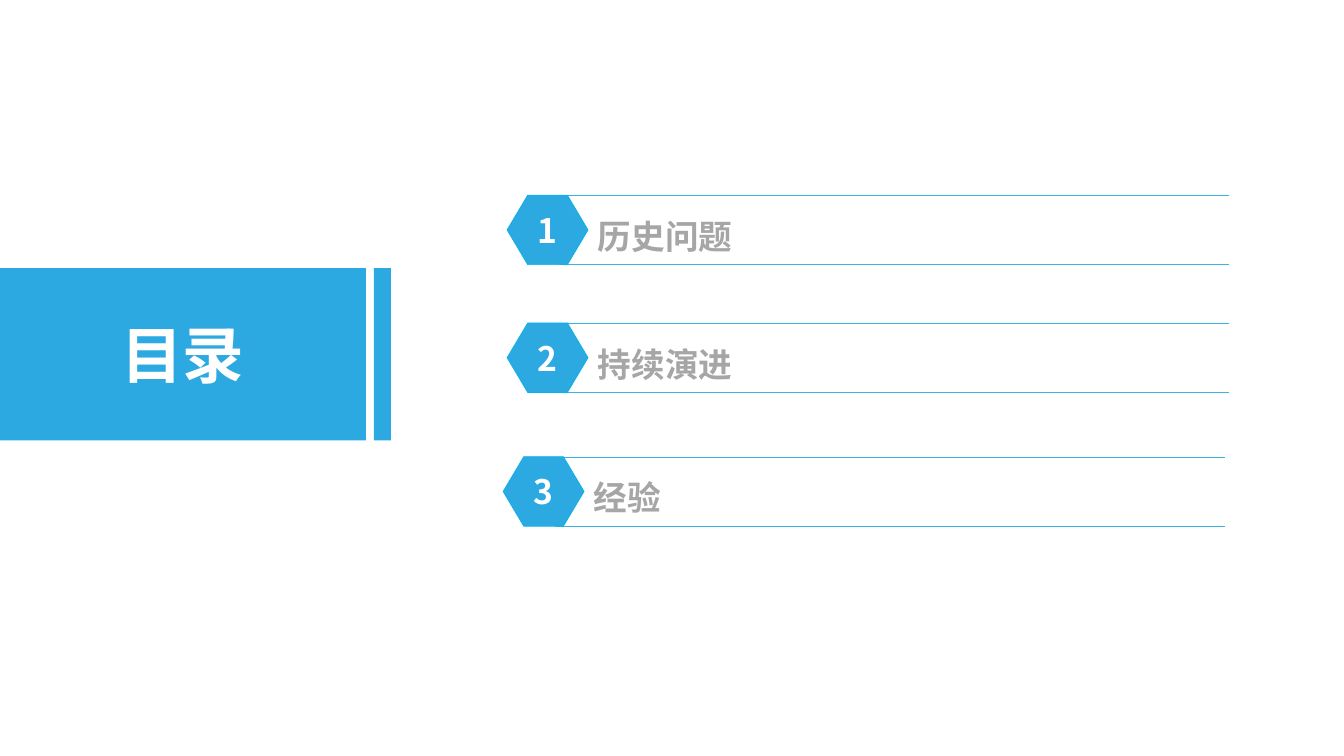
from lxml import etree
from pptx import Presentation
from pptx.dml.color import RGBColor
from pptx.enum.shapes import MSO_SHAPE as SHAPE
from pptx.enum.text import MSO_ANCHOR as ANCHOR, PP_ALIGN as ALIGN
from pptx.oxml.ns import qn
from pptx.util import Cm, Pt

FONT = "Noto Sans CJK SC"
BLUE = RGBColor(0x2D, 0xA9, 0xE1)
EDGE_BLUE = RGBColor(0x08, 0xB3, 0xEB)
RULE_BLUE = RGBColor(0x3B, 0xB3, 0xE5)
GREY = RGBColor(0xA6, 0xA6, 0xA6)
WHITE = RGBColor(0xFF, 0xFF, 0xFF)


def add_label(sp, text, size, color, align, left=0):
    """Write one bold line, centred vertically, with only a left inset."""
    tf = sp.text_frame
    tf.word_wrap = True
    tf.vertical_anchor = ANCHOR.MIDDLE
    tf.margin_left = Cm(left)
    tf.margin_top = tf.margin_right = tf.margin_bottom = 0
    p = tf.paragraphs[0]
    p.alignment = align
    r = p.add_run()
    r.text = text
    r.font.size = Pt(size)
    r.font.bold = True
    r.font.color.rgb = color
    r.font.name = FONT
    etree.SubElement(r.font._element, qn("a:ea"), typeface=FONT)
    return p


def add_blue_shape(kind, left, top, width, height):
    sp = s.shapes.add_shape(kind, Cm(left), Cm(top), Cm(width), Cm(height))
    sp.shadow.inherit = False
    sp.fill.solid()
    sp.fill.fore_color.rgb = BLUE
    sp.line.fill.background()
    return sp


prs = Presentation()
prs.slide_width, prs.slide_height = Cm(33.87), Cm(19.05)
s = prs.slides.add_slide(prs.slide_layouts[6])

# Title band
band = add_blue_shape(SHAPE.RECTANGLE, 0, 6.76, 9.22, 4.34)
add_label(band, "目录", 44, WHITE, ALIGN.CENTER)
add_blue_shape(SHAPE.RECTANGLE, 9.42, 6.76, 0.43, 4.34)

# Agenda rows: an open frame with a numbered hexagon over its left end
ROW_HEIGHT = 1.75
rows = [("历史问题", 12.78, 4.92), ("持续演进", 12.78, 8.14), ("经验", 12.68, 11.51)]
for number, (topic, left, top) in enumerate(rows, 1):
    frame_left, bottom = left + 1.32, top + ROW_HEIGHT
    frame_right = frame_left + 16.88
    builder = s.shapes.build_freeform(Cm(frame_right), Cm(bottom))
    corners = [(frame_left, bottom), (frame_left, top), (frame_right, top)]
    builder.add_line_segments([(Cm(x), Cm(y)) for x, y in corners], close=False)
    frame = builder.convert_to_shape()
    frame.shadow.inherit = False
    frame.fill.background()
    frame.line.color.rgb = RULE_BLUE
    frame.line.width = Pt(0.25)
    p = add_label(frame, topic, 24, GREY, ALIGN.LEFT, left=0.97)
    p.line_spacing = 1.3

    badge = add_blue_shape(SHAPE.HEXAGON, left, top, 2.04, ROW_HEIGHT)
    badge.adjustments[0] = 0.297
    badge.line.color.rgb = EDGE_BLUE
    badge.line.width = Pt(0.5)
    add_label(badge, str(number), 24, WHITE, ALIGN.CENTER)

prs.save("out.pptx")
